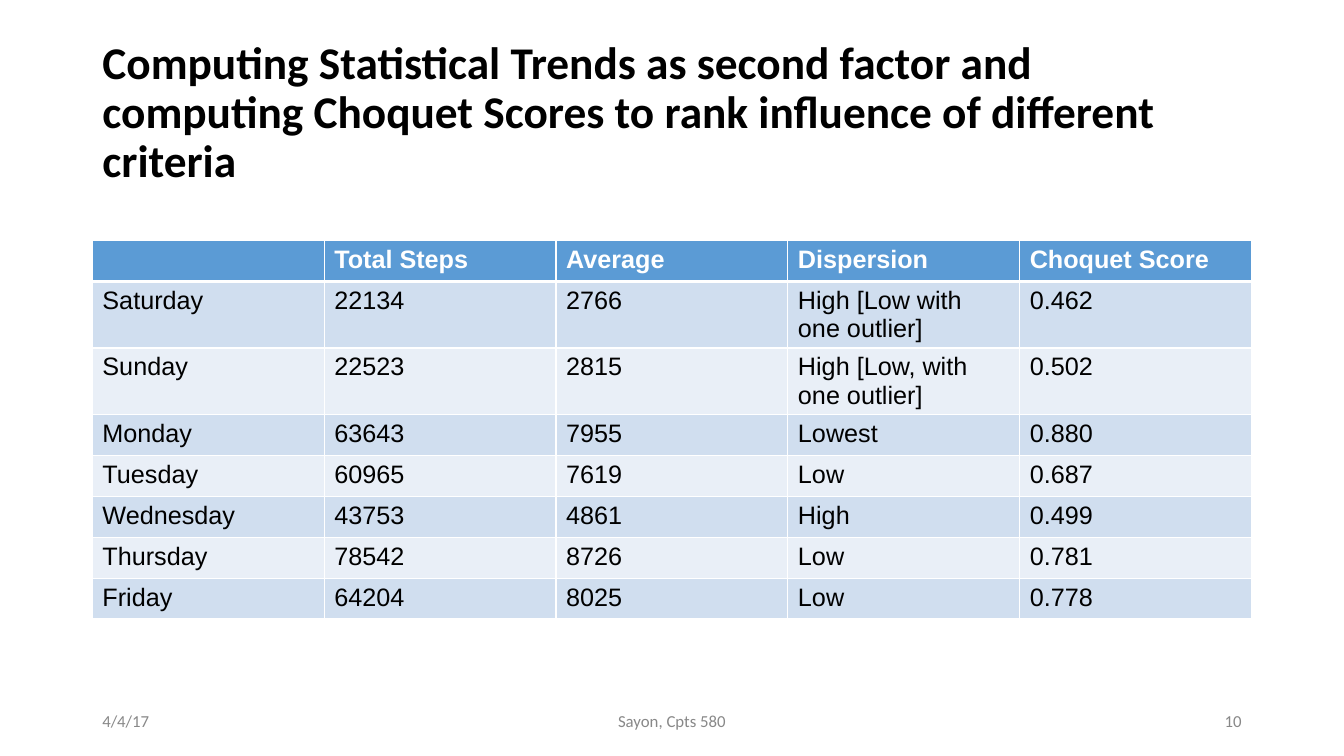
import pptx
import pptx.dml.color
import pptx.enum.text
import pptx.oxml
import pptx.oxml.ns
import pptx.util

Pt = pptx.util.Pt
RGBColor = pptx.dml.color.RGBColor
Align = pptx.enum.text.PP_ALIGN
Anchor = pptx.enum.text.MSO_ANCHOR

BLACK = RGBColor(0x00, 0x00, 0x00)
WHITE = RGBColor(0xFF, 0xFF, 0xFF)
GRAY = RGBColor(0x88, 0x88, 0x88)
HEADER_BLUE = RGBColor(0x5B, 0x9B, 0xD5)
DARK_BAND = RGBColor(0xD0, 0xDE, 0xEF)
LIGHT_BAND = RGBColor(0xE9, 0xEF, 0xF7)

MARGIN = 66
CONTENT_WIDTH = 828
ROW_HEIGHT = 29.2

TITLE = ("Computing Statistical Trends as second factor and computing "
         "Choquet Scores to rank influence of different criteria")
ROWS = [
    ("", "Total Steps", "Average", "Dispersion", "Choquet Score"),
    ("Saturday", "22134", "2766", "High [Low with one outlier]", "0.462"),
    ("Sunday", "22523", "2815", "High [Low, with one outlier]", "0.502"),
    ("Monday", "63643", "7955", "Lowest", "0.880"),
    ("Tuesday", "60965", "7619", "Low", "0.687"),
    ("Wednesday", "43753", "4861", "High", "0.499"),
    ("Thursday", "78542", "8726", "Low", "0.781"),
    ("Friday", "64204", "8025", "Low", "0.778"),
]
FOOTERS = [
    ("4/4/17", MARGIN, 216, Align.LEFT),
    ("Sayon, Cpts 580", 318, 324, Align.CENTER),
    ("10", 678, 216, Align.RIGHT),
]


class SlideBuilder:
    formats = {
        "title": {"name": "Calibri", "size": Pt(32.4), "bold": True, "color": BLACK},
        "header": {"name": "Arial", "size": Pt(18), "bold": True, "color": WHITE},
        "body": {"name": "Arial", "size": Pt(18), "bold": False, "color": BLACK},
        "footer": {"name": "Calibri", "size": Pt(12), "bold": False, "color": GRAY},
    }

    def __init__(self, presentation):
        self.slide = presentation.slides.add_slide(presentation.slide_layouts[5])

    def fill_text(self, text_frame, text, style, alignment=Align.LEFT):
        text_frame.text = text
        paragraph = text_frame.paragraphs[0]
        paragraph.alignment = alignment
        for name, value in self.formats[style].items():
            if name == "color":
                paragraph.font.color.rgb = value
            else:
                setattr(paragraph.font, name, value)
        return paragraph

    def frame(self, text_frame):
        """Wrap and centre vertically, with the usual insets."""
        settings = {
            "word_wrap": True,
            "auto_size": pptx.enum.text.MSO_AUTO_SIZE.NONE,
            "vertical_anchor": Anchor.MIDDLE,
            "margin_left": Pt(7.2), "margin_right": Pt(7.2),
            "margin_top": Pt(3.6), "margin_bottom": Pt(3.6),
        }
        for name, value in settings.items():
            setattr(text_frame, name, value)

    def title(self, text, left, top, width, height):
        shape = self.slide.shapes.title
        place = {"left": left, "top": top, "width": width, "height": height}
        for name, value in place.items():
            setattr(shape, name, Pt(value))
        self.frame(shape.text_frame)
        self.fill_text(shape.text_frame, text, "title").line_spacing = 0.9

    def text(self, text, left, top, width, height, alignment):
        shape = self.slide.shapes.add_textbox(Pt(left), Pt(top), Pt(width), Pt(height))
        self.frame(shape.text_frame)
        self.fill_text(shape.text_frame, text, "footer", alignment)

    def borders(self, cell, top_width, bottom_width):
        properties = cell._tc.get_or_add_tcPr()
        widths = {"lnL": 1, "lnR": 1, "lnT": top_width, "lnB": bottom_width}
        for index, (tag, width) in enumerate(widths.items()):
            line = pptx.oxml.parse_xml(
                f'<a:{tag} {pptx.oxml.ns.nsdecls("a")} w="{Pt(width)}">'
                f'<a:solidFill><a:srgbClr val="{WHITE}"/></a:solidFill></a:{tag}>')
            properties.insert(index, line)

    def table(self, rows, left, top, width, row_height):
        table = self.slide.shapes.add_table(
            len(rows), len(rows[0]), Pt(left), Pt(top),
            Pt(width), Pt(row_height * len(rows))).table
        for row_index, values in enumerate(rows):
            table.rows[row_index].height = Pt(row_height)
            is_header = row_index == 0
            band = DARK_BAND if row_index % 2 else LIGHT_BAND
            for column_index, value in enumerate(values):
                cell = table.cell(row_index, column_index)
                cell.fill.solid()
                cell.fill.fore_color.rgb = HEADER_BLUE if is_header else band
                self.fill_text(cell.text_frame, value, "header" if is_header else "body")
                # The thick header rule is shared with the row beneath it.
                self.borders(cell, 3 if row_index == 1 else 1, 3 if is_header else 1)


def main():
    presentation = pptx.Presentation()
    presentation.slide_width = Pt(960)
    presentation.slide_height = Pt(540)
    builder = SlideBuilder(presentation)
    builder.title(TITLE, MARGIN, 28.75, CONTENT_WIDTH, 104.4)
    builder.table(ROWS, MARGIN, 171.9, CONTENT_WIDTH, ROW_HEIGHT)
    for text, left, width, alignment in FOOTERS:
        builder.text(text, left, 500.5, width, 28.75, alignment)
    presentation.save("out.pptx")


if __name__ == "__main__":
    main()
